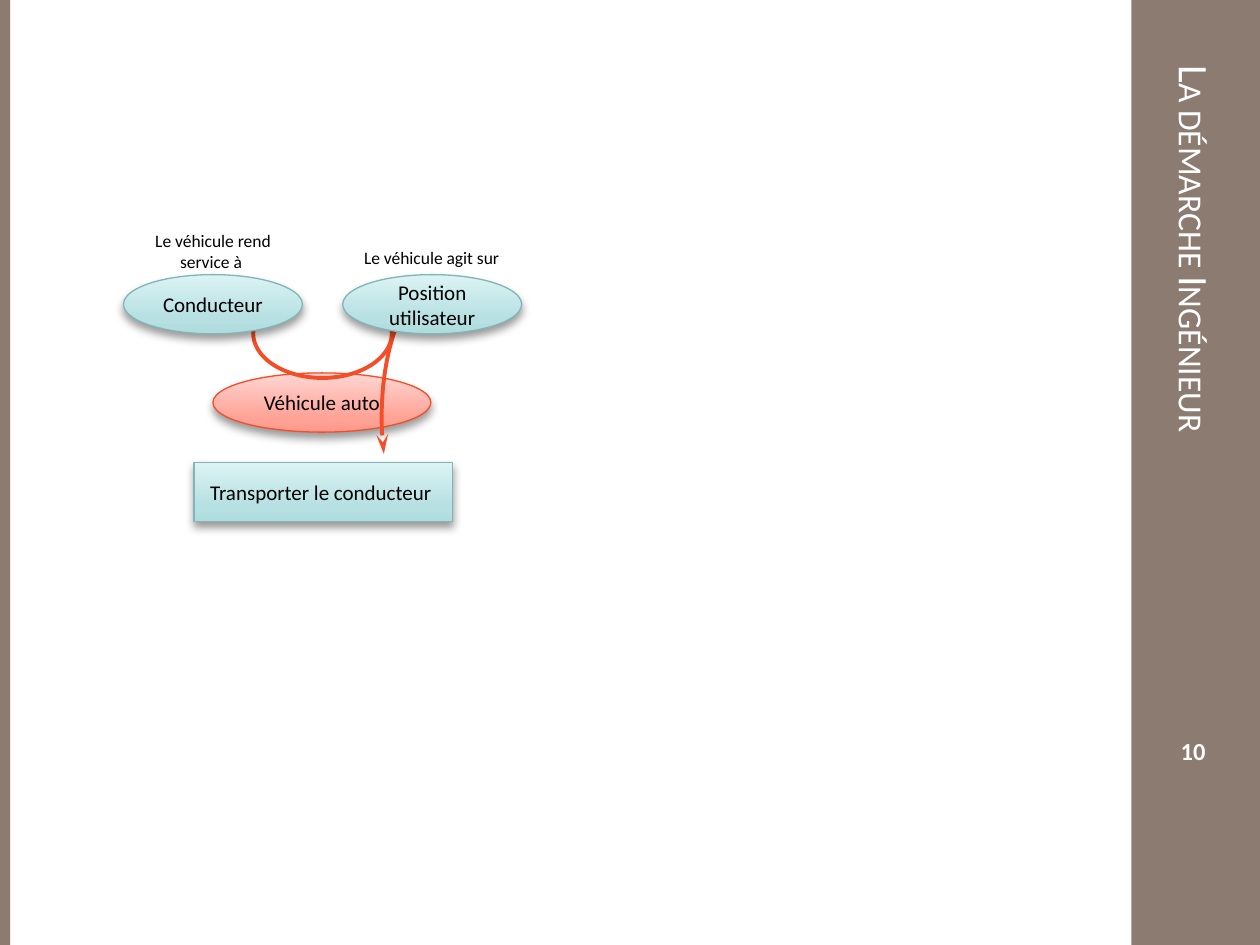
from dataclasses import dataclass

from lxml import etree
from pptx import Presentation
from pptx.dml.color import RGBColor
from pptx.enum import shapes, text
from pptx.oxml import ns
from pptx.util import Inches, Pt

WHITE = RGBColor(0xFF, 0xFF, 0xFF)
BLACK = RGBColor(0, 0, 0)
TAUPE = RGBColor(0x8C, 0x7B, 0x70)
ORANGE = RGBColor(0xF3, 0x4E, 0x27)
TEAL = RGBColor(0x84, 0xB5, 0xB6)
CORAL_STOPS = {0: RGBColor(0xFF, 0x9A, 0x8C), 25: RGBColor(0xFF, 0xA3, 0x97), 100: RGBColor(0xFF, 0xD6, 0xD2)}
AQUA_STOPS = {0: RGBColor(0xB1, 0xDC, 0xDD), 25: RGBColor(0xB6, 0xE0, 0xE2), 100: RGBColor(0xDC, 0xF3, 0xF4)}
OVAL = shapes.MSO_SHAPE.OVAL
RECTANGLE = shapes.MSO_SHAPE.RECTANGLE
INSETS = ("margin_left", "margin_top", "margin_right", "margin_bottom")


@dataclass
class Box:
    left: float
    top: float
    width: float
    height: float

    def lengths(self) -> tuple:
        """Return the position and size as lengths."""
        return tuple(Inches(v) for v in (self.left, self.top, self.width, self.height))

    def turned(self) -> "Box":
        """Return the box that covers this one after a quarter turn."""
        shift = (self.width - self.height) / 2
        return Box(self.left + shift, self.top - shift, self.height, self.width)


@dataclass
class Node:
    words: str
    box: Box
    outline: RGBColor = TEAL
    stops: dict = None
    kind: int = OVAL


@dataclass
class Arc:
    box: Box
    start: float
    end: float
    arrow: bool = False


@dataclass
class Caption:
    words: str
    box: Box


def add_xml(parent, tag: str, **attributes):
    """Append a DrawingML element and return it."""
    return etree.SubElement(parent, ns.qn(tag), {k: str(v) for k, v in attributes.items()})


def write(frame, words: str, size: float, color: RGBColor, align=text.PP_ALIGN.CENTER, bold=False):
    """Fill a text frame with one formatted paragraph."""
    paragraph = frame.paragraphs[0]
    paragraph.alignment = align
    run = paragraph.add_run()
    run.text = words
    for key, value in {"name": "Calibri", "size": Pt(size), "bold": bold}.items():
        setattr(run.font, key, value)
    run.font.color.rgb = color
    return run


def set_frame(frame, **values) -> None:
    """Apply format values to a text frame."""
    for key, value in {"word_wrap": True, **values}.items():
        setattr(frame, key, value)


def add_bar(slide, box: Box) -> None:
    """Draw a plain side bar."""
    bar = slide.shapes.add_shape(RECTANGLE, *box.lengths())
    bar.shadow.inherit = False
    bar.fill.solid()
    bar.fill.fore_color.rgb = TAUPE
    bar.line.fill.background()


def add_node(slide, node: Node) -> None:
    """Draw a shaded, shadowed shape with its text."""
    shape = slide.shapes.add_shape(node.kind, *node.box.lengths())
    shape.fill.background()
    properties = shape.fill._xPr
    gradient = etree.Element(ns.qn("a:gradFill"), rotWithShape="1")
    stop_list = add_xml(gradient, "a:gsLst")
    for position, color in (node.stops or AQUA_STOPS).items():
        add_xml(add_xml(stop_list, "a:gs", pos=position * 1000), "a:srgbClr", val=color)
    add_xml(gradient, "a:lin", ang=270 * 60000, scaled=0)
    properties.replace(properties.find(ns.qn("a:noFill")), gradient)
    shape.line.color.rgb = node.outline
    shape.line.width = Pt(0.75)
    shape.shadow.inherit = False
    shadow = add_xml(properties.find(ns.qn("a:effectLst")), "a:outerShdw",
                     blurRad=Pt(5.2), dist=Pt(3), dir=90 * 60000, rotWithShape=0)
    add_xml(add_xml(shadow, "a:srgbClr", val=BLACK), "a:alpha", val=40000)
    set_frame(shape.text_frame, vertical_anchor=text.MSO_ANCHOR.MIDDLE)
    if node.kind == OVAL:
        set_frame(shape.text_frame, **dict.fromkeys(INSETS, 0))
    write(shape.text_frame, node.words, 12, BLACK)


def add_arc(slide, arc: Arc) -> None:
    """Draw an arc between two angles in degrees, mirrored when it has an arrow."""
    shape = slide.shapes.add_shape(shapes.MSO_SHAPE.ARC, *arc.box.lengths())
    for index, angle in enumerate((arc.start, arc.end)):
        shape.adjustments[index] = angle * 0.6
    shape.shadow.inherit = False
    shape.fill.background()
    shape.line.color.rgb = ORANGE
    shape.line.width = Pt(2.25)
    if arc.arrow:
        add_xml(shape.line._get_or_add_ln(), "a:tailEnd", type="stealth", w="med", len="lg")
        shape.element.spPr.find(ns.qn("a:xfrm")).set("flipH", "1")


def add_caption(slide, caption: Caption) -> None:
    """Write a small caption above a node."""
    label = slide.shapes.add_textbox(*caption.box.lengths())
    set_frame(label.text_frame, auto_size=text.MSO_AUTO_SIZE.SHAPE_TO_FIT_TEXT)
    write(label.text_frame, caption.words, 10, BLACK)


def add_heading(slide, words: str, box: Box) -> None:
    """Set the title on the right bar, reading downwards."""
    title = slide.shapes.title
    slide.shapes._spTree.append(title.element)
    for key, value in zip(("left", "top", "width", "height"), box.turned().lengths()):
        setattr(title, key, value)
    title.rotation = 90
    frame = title.text_frame
    set_frame(frame, vertical_anchor=text.MSO_ANCHOR.MIDDLE, auto_size=text.MSO_AUTO_SIZE.NONE)
    run = write(frame, words, 24, WHITE, text.PP_ALIGN.LEFT)
    run.font._element.set("cap", "small")


def add_page_number(slide, words: str, box: Box) -> None:
    """Write the page number on the right bar."""
    number = slide.shapes.add_textbox(*box.lengths())
    set_frame(number.text_frame, vertical_anchor=text.MSO_ANCHOR.MIDDLE)
    write(number.text_frame, words, 14, WHITE, bold=True)


DIAGRAM = (
    Node("Véhicule auto", Box(1.69, 2.96, 1.73, 0.47), ORANGE, CORAL_STOPS),
    Node("Transporter le conducteur ", Box(1.54, 3.67, 2.05, 0.47), kind=RECTANGLE),
    Arc(Box(2.01, 2.29, 1.1, 0.71), 344.42, 189.29),
    Node("Conducteur", Box(0.98, 2.18, 1.42, 0.47)),
    Arc(Box(3.03, 2.24, 0.9, 2.14), 292.37, 34.16, arrow=True),
    Node("Position utilisateur", Box(2.72, 2.18, 1.42, 0.47)),
    Caption("Le véhicule rend service à ", Box(0.98, 1.78, 1.42, 0.44)),
    Caption("Le véhicule agit sur", Box(2.56, 1.91, 1.73, 0.27)),
)
DRAW = {Node: add_node, Arc: add_arc, Caption: add_caption}


def main() -> None:
    """Build and save the slide."""
    deck = Presentation()
    deck.slide_width, deck.slide_height = Inches(10), Inches(7.5)
    slide = deck.slides.add_slide(deck.slide_layouts.get_by_name("Title Only"))
    for bar in (Box(8.98, 0, 1.02, 7.5), Box(0, 0, 0.08, 7.5)):
        add_bar(slide, bar)
    add_heading(slide, "La démarche Ingénieur", Box(8.98, 0.42, 1.02, 6.42))
    add_page_number(slide, "10", Box(8.94, 5.8, 1.06, 0.31))
    for part in DIAGRAM:
        DRAW[type(part)](slide, part)
    deck.save("out.pptx")


main()
